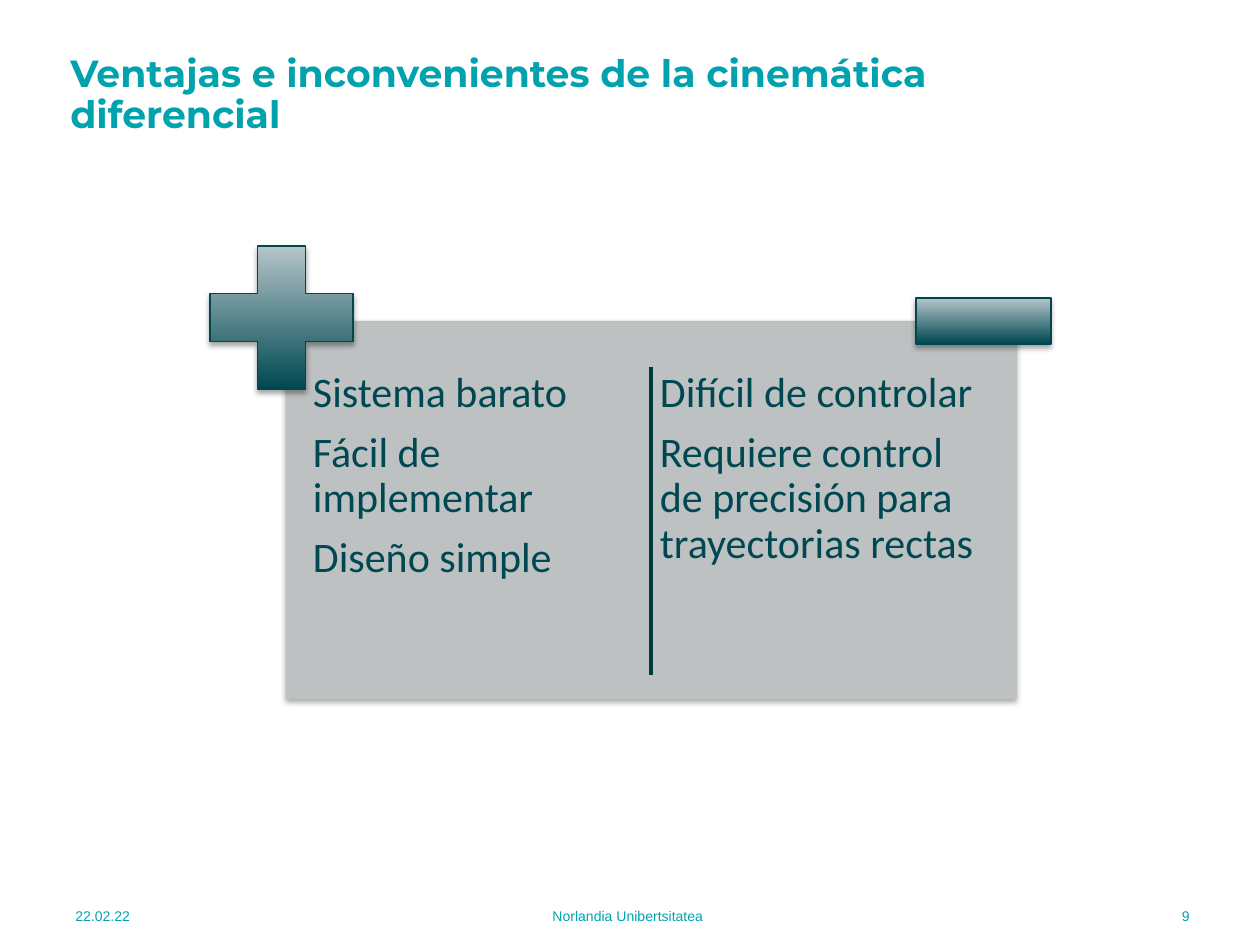
import pptx
import pptx.util
from lxml import etree
from pptx.dml.color import RGBColor
from pptx.enum.shapes import MSO_CONNECTOR, MSO_SHAPE
from pptx.enum.text import MSO_ANCHOR, PP_ALIGN
from pptx.oxml.ns import qn

PX = 914400 / 126
TEAL, DARK, PALE = "00A3AD", "004851", "B5C5CA"


def emu(*px):
    return [round(v * PX) for v in px]


def add_text(box, lines, font, size, color, align=PP_ALIGN.LEFT,
             anchor=MSO_ANCHOR.MIDDLE, bold=False, spacing=1.0, after=0, inset=None):
    tf = s.shapes.add_textbox(*emu(*box)).text_frame
    tf.word_wrap = True
    tf.vertical_anchor = anchor
    if inset is not None:
        tf.margin_left = tf.margin_top = tf.margin_right = tf.margin_bottom = emu(inset)[0]
    tf.text = "\n".join(lines)
    for p in tf.paragraphs:
        p.alignment = align
        p.line_spacing = spacing
        p.space_after = pptx.util.Pt(after)
        p.font.name, p.font.size, p.font.bold = font, pptx.util.Pt(size), bold
        p.font.color.rgb = RGBColor.from_string(color)


prs = pptx.Presentation()
prs.slide_width, prs.slide_height = emu(1260, 945)
s = prs.slides.add_slide(prs.slide_layouts[6])

# Footer: date, institution, page number
for x, w, text, align in (
    (63, 163, "22.02.22", PP_ALIGN.LEFT),
    (299, 658, "Norlandia Unibertsitatea", PP_ALIGN.CENTER),
    (1041, 161, "9", PP_ALIGN.RIGHT),
):
    add_text((x, 891, w, 50), [text], "Arial", 8, TEAL, align, after=6)

# Title
add_text((58, 66, 1056, 59), ["Ventajas e inconvenientes de la cinemática diferencial"],
         "Montserrat", 21.6, TEAL, bold=True, spacing=0.9)

# Panel, then the plus and minus signs on its corners
shapes = []
for kind, box in (
    (MSO_SHAPE.RECTANGLE, (286, 321, 731, 378)),
    (MSO_SHAPE.CROSS, (210, 246, 143, 143)),
    (MSO_SHAPE.RECTANGLE, (916, 298, 135, 46)),
):
    sp = s.shapes.add_shape(kind, *emu(*box))
    sp.shadow.inherit = False
    effects = sp._element.spPr.find(qn("a:effectLst"))
    shadow = etree.SubElement(effects, qn("a:outerShdw"), blurRad="39370", dist="22860",
                              dir="5400000", rotWithShape="0")
    black = etree.SubElement(shadow, qn("a:srgbClr"), val="000000")
    etree.SubElement(black, qn("a:alpha"), val="35000")
    shapes.append(sp)

panel, plus, minus = shapes
panel.fill.solid()
panel.fill.fore_color.rgb = RGBColor.from_string("BDC1C2")
panel.line.fill.background()
plus.adjustments[0] = 0.33
for sp in (plus, minus):
    sp.fill.gradient()
    sp.fill.gradient_angle = 90
    for stop, position, color in zip(sp.fill.gradient_stops, (0, 1), (DARK, PALE)):
        stop.position = position
        stop.color.rgb = RGBColor.from_string(color)
    sp.line.color.rgb = RGBColor.from_string(DARK)
    sp.line.width = pptx.util.Pt(0.75)

# Advantages and drawbacks
for x, lines in (
    (307, ["Sistema barato", "Fácil de implementar", "Diseño simple"]),
    (654, ["Difícil de controlar", "Requiere control de precisión para trayectorias rectas"]),
):
    add_text((x, 365, 339, 323), lines, "Calibri", 24, DARK, anchor=MSO_ANCHOR.TOP,
             spacing=0.9, after=8.4, inset=6)

# Divider between the columns
divider = s.shapes.add_connector(MSO_CONNECTOR.STRAIGHT, *emu(651, 367, 651, 675))
divider.line.color.rgb = RGBColor.from_string("003A41")
divider.line.width = pptx.util.Pt(2)
etree.SubElement(divider._element.spPr, qn("a:effectLst"))

prs.save("out.pptx")
